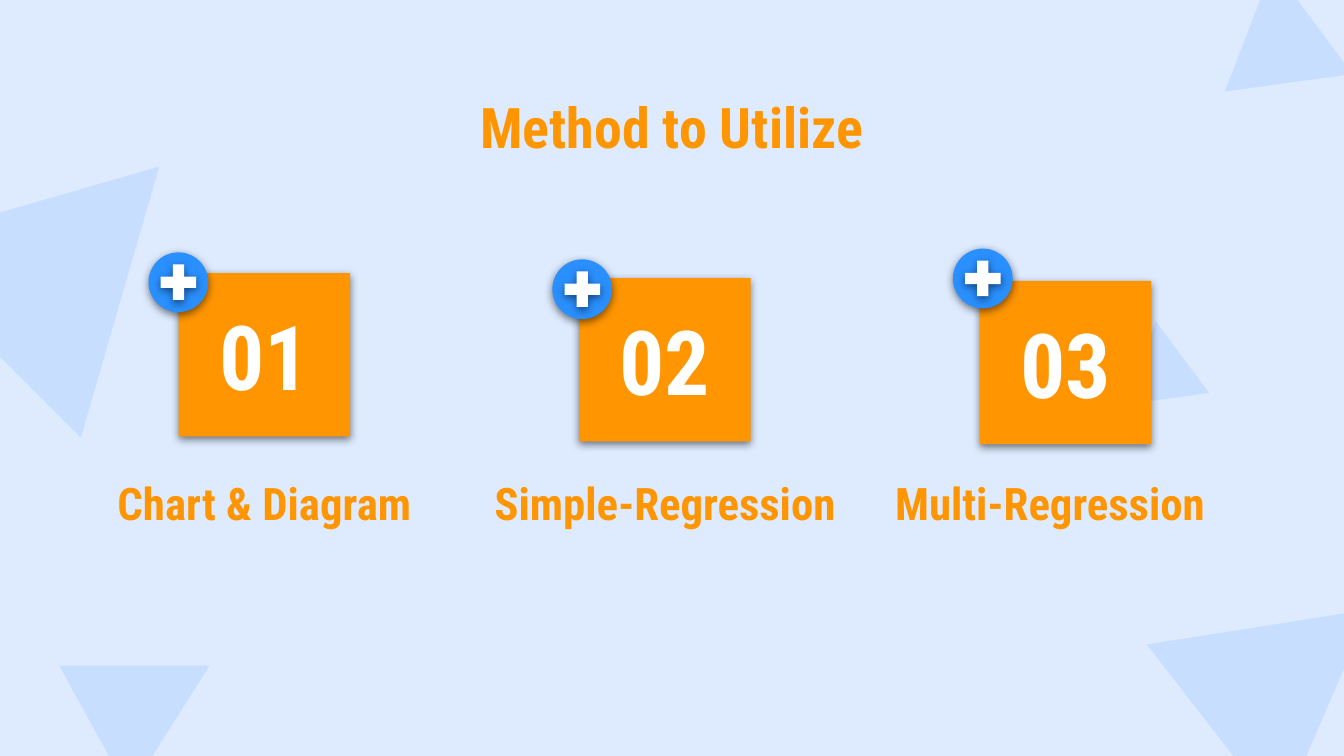
from collections import namedtuple

from lxml import etree
from pptx import Presentation
from pptx.dml.color import RGBColor
from pptx.enum.shapes import MSO_SHAPE as Preset
from pptx.enum.text import MSO_ANCHOR as Anchor, MSO_AUTO_SIZE as AutoSize, PP_ALIGN as Align
from pptx.oxml import parse_xml
from pptx.oxml.ns import nsdecls
from pptx.util import Inches, Pt

COLORS = {
    "background": "DEEBFF",
    "triangle": "C8DEFF",
    "accent": "FF9500",
    "badge": "2A90FF",
    "white": "FFFFFF",
    "shadow": "000000",
}
FONT = "Roboto Condensed"
SLIDE_WIDTH = Inches(10)
SLIDE_HEIGHT = SLIDE_WIDTH * 9 // 16
UNIT = SLIDE_WIDTH / 100  # the grid has 100 square columns across the slide

Box = namedtuple("Box", "left top width height")

CARD_PITCH = 29.8
CARD_WIDTH, CARD_HEIGHT = 12.75, 12.15
BADGE_SIZE, PLUS_SIZE = 4.45, 3.6

# Number, card top, badge offset from the card's corner, label, label shift, label width
METHODS = [
    ("01", 20.33, (-2.25, -1.55), "Chart & Diagram", 0, 26.6),
    ("02", 20.7, (-2.0, -1.4), "Simple-Regression", 0, 28.2),
    ("03", 20.9, (-2.0, -2.4), "Multi-Regression", -1.15, 26.6),
]

TRIANGLES = [
    (Box(83.2, 23.9, 6.4, 5.8), -7.8),
    (Box(5.9, 47, 10.8, 9.8), 61.2),
    (Box(-4.8, 9.7, 20.3, 18.4), 45),
    (Box(90.5, -2.5, 9.6, 8.7), -7.8),
    (Box(88, 42.5, 16.2, 14.7), 52.2),
]


def color(name):
    return RGBColor.from_string(COLORS[name])


def to_emu(box):
    return [round(length * UNIT) for length in box]


def centered(box, size):
    """Return a square of the given size in the middle of the box."""
    return Box(box.left + (box.width - size) / 2, box.top + (box.height - size) / 2, size, size)


def add_preset(shapes, preset, box, fill, shadow=False):
    shape = shapes.add_shape(preset, *to_emu(box))
    shape.shadow.inherit = False
    shape.fill.solid()
    shape.fill.fore_color.rgb = color(fill)
    shape.line.fill.background()
    if shadow:
        add_shadow(shape)
    return shape


def add_shadow(shape):
    effects = shape.element.spPr.find("{*}effectLst")
    effects.append(parse_xml(
        f'<a:outerShdw {nsdecls("a")} blurRad="{Pt(4.5)}" dist="{Pt(1.5)}" dir="5400000"'
        ' algn="bl" rotWithShape="0"/>'))
    tint = etree.SubElement(effects[0], effects[0].tag.replace("outerShdw", "srgbClr"))
    tint.set("val", COLORS["shadow"])
    etree.SubElement(tint, tint.tag.replace("srgbClr", "alpha")).set("val", "50000")


def write_text(shape, text, size, text_color, anchor):
    frame = shape.text_frame
    frame.text = text
    frame.word_wrap = True
    frame.auto_size = AutoSize.NONE
    frame.vertical_anchor = anchor
    frame.margin_left = frame.margin_right = Inches(0.1)
    frame.margin_top = frame.margin_bottom = Inches(0.1)
    paragraph = frame.paragraphs[0]
    paragraph.alignment = Align.CENTER
    paragraph.line_spacing = 1.0
    font = paragraph.runs[0].font
    font.name, font.size, font.bold = FONT, Pt(size), True
    font.color.rgb = color(text_color)


def add_background(slide):
    slide.background.fill.solid()
    slide.background.fill.fore_color.rgb = color("background")
    for box, rotation in TRIANGLES:
        add_preset(slide.shapes, Preset.ISOSCELES_TRIANGLE, box, "triangle").rotation = rotation


def add_title(slide, box):
    title = slide.shapes.title
    title.left, title.top, title.width, title.height = to_emu(box)
    write_text(title, "Method to Utilize", 30, "accent", Anchor.TOP)


def add_plus_badge(slide, box):
    group = slide.shapes.add_group_shape()
    add_preset(group.shapes, Preset.OVAL, box, "badge", shadow=True)
    plus = add_preset(group.shapes, Preset.MATH_MULTIPLY, centered(box, PLUS_SIZE), "white", shadow=True)
    plus.adjustments[0] = 0.235
    plus.rotation = 45


def add_method(slide, box, number, badge_offset, label, label_shift, label_width):
    card = add_preset(slide.shapes, Preset.RECTANGLE, box, "accent", shadow=True)
    write_text(card, number, 48, "white", Anchor.MIDDLE)

    across, down = badge_offset
    add_plus_badge(slide, Box(box.left + across, box.top + down, BADGE_SIZE, BADGE_SIZE))

    label_left = box.left + (box.width - label_width) / 2 + label_shift
    label_box = slide.shapes.add_textbox(*to_emu(Box(label_left, 34.4, label_width, 5.5)))
    write_text(label_box, label, 24, "accent", Anchor.TOP)


def main():
    presentation = Presentation()
    presentation.slide_width, presentation.slide_height = SLIDE_WIDTH, SLIDE_HEIGHT
    slide = presentation.slides.add_slide(presentation.slide_layouts[5])

    add_background(slide)
    add_title(slide, Box(7.8, 5.9, 84.4, 6.2))
    for column, (number, top, *details) in enumerate(METHODS):
        box = Box(13.3 + column * CARD_PITCH, top, CARD_WIDTH, CARD_HEIGHT)
        add_method(slide, box, number, *details)

    presentation.save("out.pptx")


if __name__ == "__main__":
    main()
